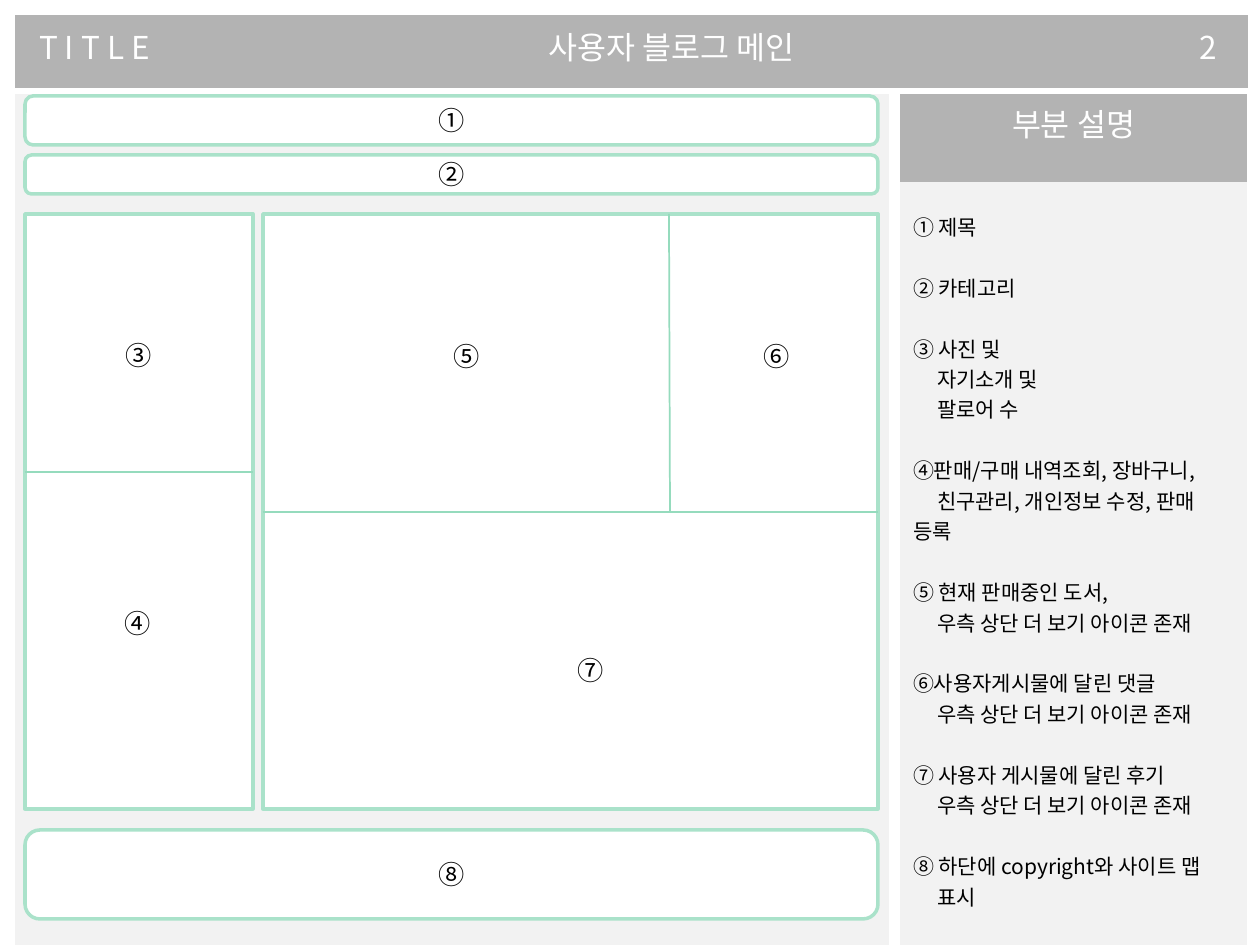
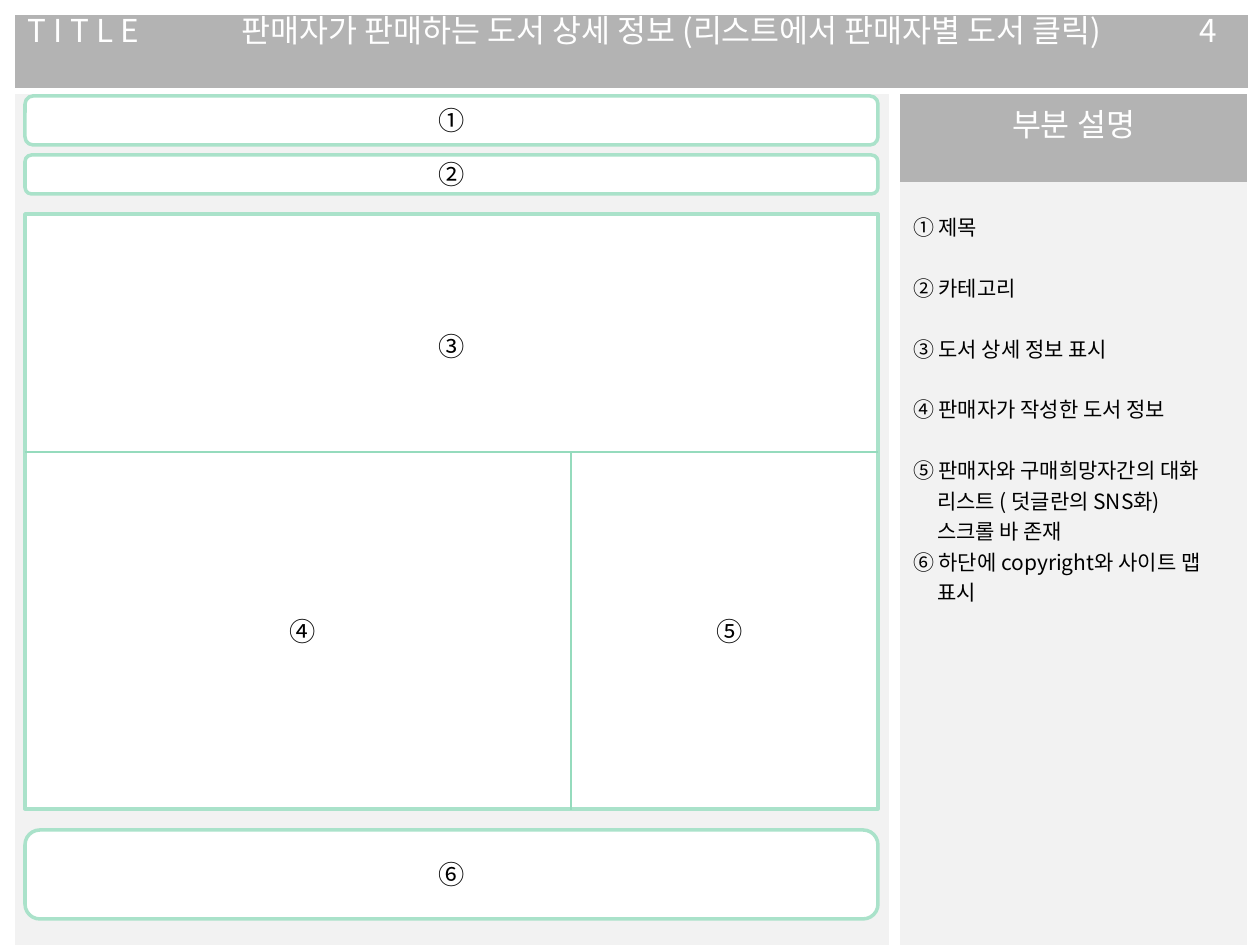
from lxml.etree import SubElement
from pptx import Presentation
from pptx.dml.color import RGBColor
from pptx.enum.shapes import MSO_CONNECTOR, MSO_SHAPE
from pptx.enum.text import MSO_ANCHOR, PP_ALIGN
from pptx.oxml.ns import qn
from pptx.util import Pt

PX = 914400 / 126
FONT = "Noto Sans CJK KR"
BAND, PANEL, WHITE, BLACK = "B3B3B3", "F2F2F2", "FFFFFF", "000000"
FRAME_LINE, DIVIDER_LINE = "AAE2CA", "95DBBD"
NO_GRID_STYLE = "{2D5ABB26-0587-4C30-8999-92F81FD0307C}"
CIRCLED = "①②③④⑤⑥⑦⑧"

HEADER = dict(left=15, top=15, columns=[159, 995, 79], rows=[73])
SIDEBAR = dict(left=900, top=94, columns=[347], rows=[88, 780])
CANVAS = dict(left=15, top=94, columns=[874], rows=[855])
SIDEBAR_TITLE = "부분 설명"
MORE_ICON = "우측 상단 더 보기 아이콘 존재"
INSET_X, INSET_Y = 13, 6
NOTES_TOP, NOTES_INDENT, NOTES_GAP = 29, 24, Pt(17.4)

HEADER_FORMAT = dict(size=18, color=WHITE, alignment=PP_ALIGN.CENTER, line_spacing=0.58)
SIDEBAR_FORMAT = dict(size=18, color=WHITE, alignment=PP_ALIGN.CENTER)
LABEL_FORMAT = dict(size=15, color=BLACK, alignment=PP_ALIGN.CENTER)
NOTE_FORMAT = dict(size=12, color=BLACK)

# frames: label, left, top, width, height; the first two and the footer are shared
ROUNDED_FRAMES = [("①", 25, 96, 853, 49), ("②", 25, 155, 853, 39)]
FOOTER_FRAME = (25, 830, 853, 89)

PAGES = [
    dict(
        title="사용자 블로그 메인", number="2", footer="⑧",
        title_alignment=PP_ALIGN.CENTER, title_anchor=MSO_ANCHOR.MIDDLE,
        notes=[
            ["① 제목"],
            ["② 카테고리"],
            ["③ 사진 및", "자기소개 및", "팔로어 수"],
            ["④판매/구매 내역조회, 장바구니,", "친구관리, 개인정보 수정, 판매 등록"],
            ["⑤ 현재 판매중인 도서,", MORE_ICON],
            ["⑥사용자게시물에 달린 댓글", MORE_ICON],
            ["⑦ 사용자 게시물에 달린 후기", MORE_ICON],
            ["⑧ 하단에 copyright와 사이트 맵", "표시"],
        ],
        areas=[(25, 214, 228, 595), (263, 214, 615, 595)],
        dividers=[(25, 472, 253, 472), (263, 512, 878, 512), (669, 214, 670, 512)],
        labels=[("③", 94, 333, 89), ("④", 93, 601, 89), ("⑤", 412, 334, 109),
                ("⑥", 742, 334, 69), ("⑦", 501, 648, 179)],
    ),
    dict(
        title="판매자가 판매하는 도서 상세 정보 (리스트에서 판매자별 도서 클릭)",
        number="4", footer="⑥",
        title_alignment=PP_ALIGN.LEFT, title_anchor=MSO_ANCHOR.TOP,
        notes=[
            ["① 제목"],
            ["② 카테고리"],
            ["③ 도서 상세 정보 표시"],
            ["④ 판매자가 작성한 도서 정보"],
            ["⑤ 판매자와 구매희망자간의 대화", "리스트 ( 덧글란의 SNS화)", "스크롤 바 존재",
             "⑥ 하단에 copyright와 사이트 맵", "표시"],
        ],
        areas=[(25, 214, 853, 595)],
        dividers=[(25, 452, 878, 452), (571, 452, 571, 810)],
        labels=[("③", 382, 324, 139), ("④", 233, 609, 139), ("⑤", 660, 609, 139)],
    ),
]


def px(*lengths):
    return [round(length * PX) for length in lengths]


def rgb(color):
    return RGBColor.from_string(color)


def fill(target, color):
    target.fill.solid()
    target.fill.fore_color.rgb = rgb(color)


def set_insets(target, top=INSET_Y):
    insets = dict(margin_left=INSET_X, margin_right=INSET_X,
                  margin_top=top, margin_bottom=INSET_Y)
    for name, length in insets.items():
        setattr(target, name, px(length)[0])


def write(para, text, size, color, **para_format):
    for name, value in para_format.items():
        setattr(para, name, value)
    span = para.add_run()
    span.text = text
    span.font.size = Pt(size)
    span.font.name = FONT
    span.font.color.rgb = rgb(color)
    SubElement(span.font._element, qn("a:ea")).set("typeface", FONT)


def add_grid(page, left, top, columns, rows, colors):
    """Add a borderless table with one fill colour per row."""
    frame = page.shapes.add_table(len(rows), len(columns),
                                  *px(left, top, sum(columns), sum(rows)))
    grid = frame.table
    grid.first_row = grid.horz_banding = False
    grid._tbl.tblPr.find(qn("a:tableStyleId")).text = NO_GRID_STYLE
    for column, width in zip(grid.columns, px(*columns)):
        column.width = width
    for row, height, color in zip(grid.rows, px(*rows), colors):
        row.height = height
        for cell in row.cells:
            fill(cell, color)
            set_insets(cell)
    return grid


def add_header(page, content):
    cells = add_grid(page, **HEADER, colors=[BAND]).rows[0].cells
    for cell, text in zip(cells, ["T I T L E", content["title"], content["number"]]):
        cell.vertical_anchor = content["title_anchor"]
        write(cell.text_frame.paragraphs[0], text, **HEADER_FORMAT)
    cells[0].text_frame.paragraphs[0].alignment = content["title_alignment"]


def add_sidebar(page, notes):
    grid = add_grid(page, **SIDEBAR, colors=[BAND, PANEL])
    write(grid.cell(0, 0).text_frame.paragraphs[0], SIDEBAR_TITLE, **SIDEBAR_FORMAT)
    cell = grid.cell(1, 0)
    set_insets(cell, NOTES_TOP)
    para = cell.text_frame.paragraphs[0]
    for note_index, note in enumerate(notes):
        for line_index, line in enumerate(note):
            if note_index or line_index:
                para = cell.text_frame.add_paragraph()
            write(para, line, **NOTE_FORMAT)
            if note_index and not line_index:
                para.space_before = NOTES_GAP
            if line[0] not in CIRCLED:
                para._p.get_or_add_pPr().set("indent", str(px(NOTES_INDENT)[0]))


def add_frame(page, kind, bounds, label=None):
    box = page.shapes.add_shape(kind, *px(*bounds))
    box.shadow.inherit = False
    fill(box, WHITE)
    box.line.color.rgb = rgb(FRAME_LINE)
    box.line.width = Pt(2)
    if label:
        box.text_frame.vertical_anchor = MSO_ANCHOR.MIDDLE
        set_insets(box.text_frame)
        write(box.text_frame.paragraphs[0], label, **LABEL_FORMAT)


def add_divider(page, ends):
    line = page.shapes.add_connector(MSO_CONNECTOR.STRAIGHT, *px(*ends))
    line.line.color.rgb = rgb(DIVIDER_LINE)
    line.line.width = Pt(1)
    SubElement(line._element.spPr, qn("a:effectLst"))


def add_label(page, text, left, top, width):
    box = page.shapes.add_textbox(*px(left, top, width, 44))
    box.text_frame.word_wrap = True
    set_insets(box.text_frame)
    write(box.text_frame.paragraphs[0], text, **LABEL_FORMAT)


def add_page(deck, content):
    page = deck.slides.add_slide(deck.slide_layouts[6])
    add_header(page, content)
    add_sidebar(page, content["notes"])
    add_grid(page, **CANVAS, colors=[PANEL])
    for label, *bounds in ROUNDED_FRAMES + [(content["footer"], *FOOTER_FRAME)]:
        add_frame(page, MSO_SHAPE.ROUNDED_RECTANGLE, bounds, label)
    for bounds in content["areas"]:
        add_frame(page, MSO_SHAPE.RECTANGLE, bounds)
    for ends in content["dividers"]:
        add_divider(page, ends)
    for label in content["labels"]:
        add_label(page, *label)


def main():
    deck = Presentation()
    deck.slide_width, deck.slide_height = px(1260, 945)
    for content in PAGES:
        add_page(deck, content)
    deck.save("out.pptx")


if __name__ == "__main__":
    main()
